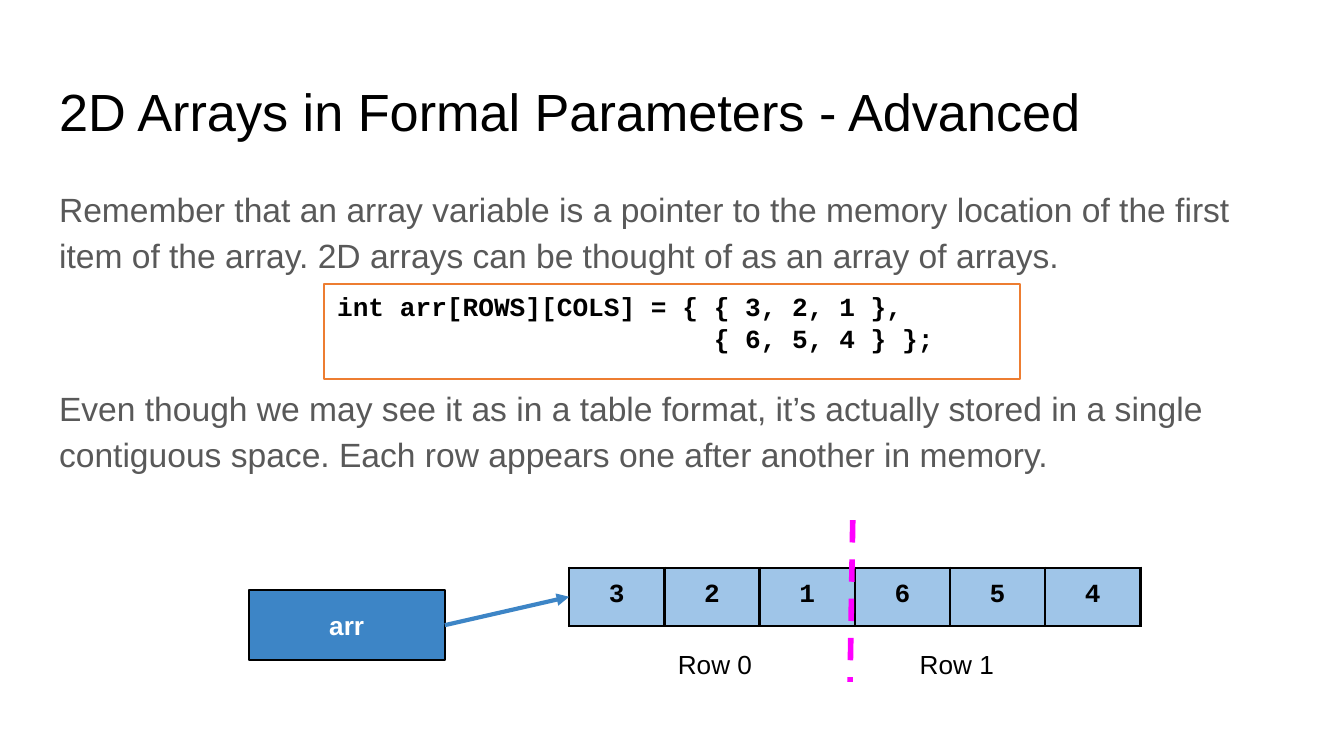
import pptx
import pptx.util
import pptx.dml.color
import pptx.enum.dml
import pptx.enum.shapes
import pptx.enum.text
import pptx.oxml
import pptx.oxml.ns

# Content
TITLE = ["2D Arrays in Formal Parameters - Advanced"]
BODY = [
    "Remember that an array variable is a pointer to the memory location of the first "
    "item of the array. 2D arrays can be thought of as an array of arrays.",
    "Even though we may see it as in a table format, it’s actually stored in a single "
    "contiguous space. Each row appears one after another in memory.",
]
CODE = [
    "int arr[ROWS][COLS] = { { 3, 2, 1 },",
    "                        { 6, 5, 4 } };",
]
NAME = ["arr"]
ROWS = [[3, 2, 1], [6, 5, 4]]

# Theme
CENTER = pptx.enum.text.PP_ALIGN.CENTER
MIDDLE = pptx.enum.text.MSO_ANCHOR.MIDDLE
THEME = {
    "ink": "000000", "gray": "595959", "paper": "FFFFFF", "frame": "ED7D31",
    "cell": "9FC5E8", "blue": "3D85C6", "split": "FF00FF",
}
TYPE = {
    "title": {"name": "Arial", "size": 28, "color": "ink"},
    "body": {"name": "Arial", "size": 18, "color": "gray"},
    "code": {"name": "Courier New", "size": 14, "color": "ink", "bold": True},
    "name": {"name": "Arial", "size": 14, "color": "paper", "bold": True},
    "label": {"name": "Arial", "size": 14, "color": "ink"},
}

# Places: left, top, width, height in percent of a 16:9 slide
SIZE = (10, 10 * 9 / 16)
SPOT = {
    "title": (3.41, 8.7, 93.2, 11.2),
    "body": (3.41, 22.4, 93.2, 47.8),
    "code": (24.1, 37.6, 51.8, 12.5),
    "cells": (42.35, 75.1, 42.5, 7.7),
    "name": (18.5, 78.05, 14.6, 9.3),
}
LABEL = (49.45, 84, 9.1, 7.7)
STEP = 18
SPLIT = ((63.45, 68.8), (63.25, 90.2))
PAD = 0.1


def place(spot):
    return [pptx.util.Inches(v * SIZE[i % 2] / 100) for i, v in enumerate(spot)]


def color(key):
    return pptx.dml.color.RGBColor.from_string(THEME[key])


def write(frame, lines, kind, para=None, gap=0):
    """Fill a text frame; gap is the space before each later paragraph."""
    for i, line in enumerate(lines):
        p = frame.paragraphs[0] if i == 0 else frame.add_paragraph()
        for key, value in (para or {}).items():
            setattr(p, key, value)
        if i and gap:
            p.space_before = pptx.util.Pt(gap)
        run = p.add_run()
        run.text = line
        look = dict(TYPE[kind])
        run.font.color.rgb = color(look.pop("color"))
        look["size"] = pptx.util.Pt(look["size"])
        for key, value in look.items():
            setattr(run.font, key, value)


def inset(item, side, top):
    for key, pad in zip(("left", "right", "top", "bottom"), (side, side, top, top)):
        setattr(item, "margin_" + key, pptx.util.Inches(pad))


def text(slide, spot, lines, kind, para=None, gap=0):
    frame = slide.shapes.add_textbox(*place(spot)).text_frame
    frame.word_wrap = True
    inset(frame, PAD, PAD)
    write(frame, lines, kind, para, gap)


def box(slide, lines, kind, fill, edge, top, anchor, align):
    shape = slide.shapes.add_shape(
        pptx.enum.shapes.MSO_SHAPE.RECTANGLE, *place(SPOT[kind]))
    shape.shadow.inherit = False
    shape.fill.solid()
    shape.fill.fore_color.rgb = color(fill)
    shape.line.color.rgb = color(edge)
    shape.line.width = pptx.util.Pt(1)
    frame = shape.text_frame
    frame.word_wrap = True
    frame.vertical_anchor = anchor
    inset(frame, PAD, top)
    write(frame, lines, kind, {"alignment": align})
    return shape


def line(slide, start, end, key, width):
    link = slide.shapes.add_connector(
        pptx.enum.shapes.MSO_CONNECTOR.STRAIGHT, *start, *end)
    link.line.color.rgb = color(key)
    link.line.width = pptx.util.Pt(width)
    props = link._element.spPr
    props.append(pptx.oxml.parse_xml(
        f'<a:effectLst {pptx.oxml.ns.nsdecls("a")}/>'))
    return link


def border(cell, key, width):
    props = cell._tc.get_or_add_tcPr()
    for side in "LRTB":
        props.append(pptx.oxml.parse_xml(
            f'<a:ln{side} {pptx.oxml.ns.nsdecls("a")} w="{pptx.util.Pt(width)}">'
            f'<a:solidFill><a:srgbClr val="{THEME[key]}"/></a:solidFill></a:ln{side}>'))


def memory(slide):
    """Draw all rows of the array side by side as one table row."""
    items = [item for row in ROWS for item in row]
    shape = slide.shapes.add_table(1, len(items), *place(SPOT["cells"]))
    table = shape.table
    table.first_row = table.horz_banding = False
    for cell, item in zip(table.iter_cells(), items):
        border(cell, "ink", 1.5)
        cell.fill.solid()
        cell.fill.fore_color.rgb = color("cell")
        inset(cell, PAD, PAD)
        write(cell.text_frame, [str(item)], "code", {"alignment": CENTER})
    return shape


def main():
    deck = pptx.Presentation()
    deck.slide_width, deck.slide_height = map(pptx.util.Inches, SIZE)
    slide = deck.slides.add_slide(deck.slide_layouts[6])

    text(slide, SPOT["title"], TITLE, "title")
    text(slide, SPOT["body"], BODY, "body", {"line_spacing": 1.15}, 57)
    box(slide, CODE, "code", "paper", "frame", PAD / 2,
        pptx.enum.text.MSO_ANCHOR.TOP, pptx.enum.text.PP_ALIGN.LEFT)
    cells = memory(slide)
    name = box(slide, NAME, "name", "blue", "ink", PAD, MIDDLE, CENTER)

    start = (name.left + name.width, name.top + name.height // 2)
    end = (cells.left, cells.top + cells.height // 2)
    arrow = line(slide, start, end, "blue", 2.25)
    arrow.line._get_or_add_ln().append(pptx.oxml.parse_xml(
        f'<a:tailEnd {pptx.oxml.ns.nsdecls("a")} type="triangle"/>'))
    split = line(slide, *map(place, SPLIT), "split", 3)
    split.line.dash_style = pptx.enum.dml.MSO_LINE.DASH

    left, *rest = LABEL
    for i in range(len(ROWS)):
        text(slide, (left + i * STEP, *rest), [f"Row {i}"], "label")

    deck.save("out.pptx")


if __name__ == "__main__":
    main()
